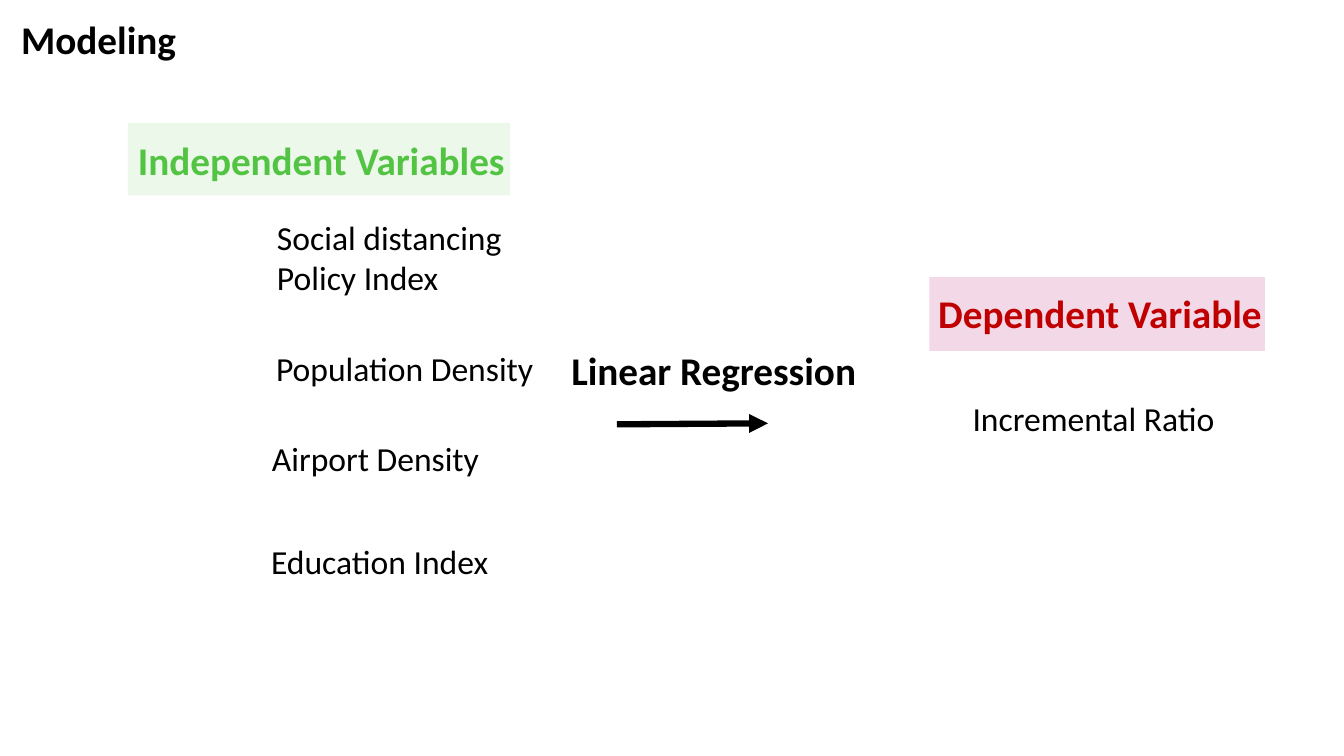
from dataclasses import dataclass

from lxml import etree
from pptx import Presentation
from pptx.dml.color import RGBColor
from pptx.enum.shapes import MSO_CONNECTOR, MSO_SHAPE
from pptx.enum.text import MSO_ANCHOR, MSO_AUTO_SIZE, PP_ALIGN
from pptx.oxml.ns import qn
from pptx.util import Pt

RECTANGLE = MSO_SHAPE.RECTANGLE
STRAIGHT = MSO_CONNECTOR.STRAIGHT
LEFT = PP_ALIGN.LEFT
TOP = MSO_ANCHOR.TOP
FIT_SHAPE = MSO_AUTO_SIZE.SHAPE_TO_FIT_TEXT
TITLE_ONLY = 5


@dataclass(frozen=True)
class Theme:
    font: str = "Calibri"
    heading_size: int = 28
    label_size: int = 24
    ink: str = "000000"
    green: str = "56C445"
    red: str = "C00000"
    green_panel: str = "42C234"
    pink_panel: str = "C44587"
    arrow_width: float = 4.5


THEME = Theme()
TITLE = ("Modeling", (7.9, 7.2, 165, 41), THEME.ink)
HEADINGS = [
    ("Independent Variables", (91.4, 93.6, 288.7, 41), THEME.green),
    ("Dependent Variable", (663.1, 203, 260, 41), THEME.red),
    ("Linear Regression", (401, 244.1, 230.4, 41), THEME.ink),
]
LABELS = [
    ("Social distancing Policy Index", (190.8, 151.2, 196.6, 65.5)),
    ("Population Density", (190.1, 244.8, 207.4, 36)),
    ("Airport Density", (187.2, 309.6, 242.6, 36)),
    ("Education Index", (186.5, 383, 188.6, 36)),
    ("Incremental Ratio", (687.6, 280.8, 216.7, 36)),
]
PINK_PANEL = ((663.8, 198, 239.8, 52.6), THEME.pink_panel, 20)
GREEN_PANEL = ((91.4, 87.8, 272.9, 51.8), THEME.green_panel, 10)
ARROW = (440.6, 303.1, 548.6, 302.4)


def points(values):
    return [Pt(value) for value in values]


def write(box, text, size, color, bold=False):
    frame = box.text_frame
    frame.word_wrap = True
    frame.auto_size = FIT_SHAPE
    frame.vertical_anchor = TOP
    paragraph = frame.paragraphs[0]
    paragraph.text = text
    paragraph.alignment = LEFT
    paragraph.line_spacing = 1.0
    font = paragraph.font
    font.name = THEME.font
    font.size = Pt(size)
    font.bold = bold
    font.color.rgb = RGBColor.from_string(color)


def add_title(slide, text, area, color):
    title = slide.shapes.title
    title.left, title.top, title.width, title.height = points(area)
    write(title, text, THEME.heading_size, color, bold=True)


def add_panel(slide, area, color, opacity):
    panel = slide.shapes.add_shape(RECTANGLE, *points(area))
    panel.shadow.inherit = False
    panel.line.fill.background()
    panel.fill.solid()
    panel.fill.fore_color.rgb = RGBColor.from_string(color)
    tint = panel.fill._xPr.find(qn("a:solidFill"))[0]
    etree.SubElement(tint, qn("a:alpha"), val=str(opacity * 1000))


def add_arrow(slide, ends):
    arrow = slide.shapes.add_connector(STRAIGHT, *points(ends))
    arrow.line.width = Pt(THEME.arrow_width)
    arrow.line.color.rgb = RGBColor.from_string(THEME.ink)
    etree.SubElement(arrow.line._get_or_add_ln(), qn("a:tailEnd"), type="triangle")
    etree.SubElement(arrow._element.spPr, qn("a:effectLst"))


def main():
    deck = Presentation()
    deck.slide_width, deck.slide_height = points((960, 540))
    slide = deck.slides.add_slide(deck.slide_layouts[TITLE_ONLY])
    add_title(slide, *TITLE)
    add_panel(slide, *PINK_PANEL)
    for text, area, color in HEADINGS:
        box = slide.shapes.add_textbox(*points(area))
        write(box, text, THEME.heading_size, color, bold=True)
    for text, area in LABELS:
        box = slide.shapes.add_textbox(*points(area))
        write(box, text, THEME.label_size, THEME.ink)
    add_arrow(slide, ARROW)
    add_panel(slide, *GREEN_PANEL)
    deck.save("out.pptx")


if __name__ == "__main__":
    main()
